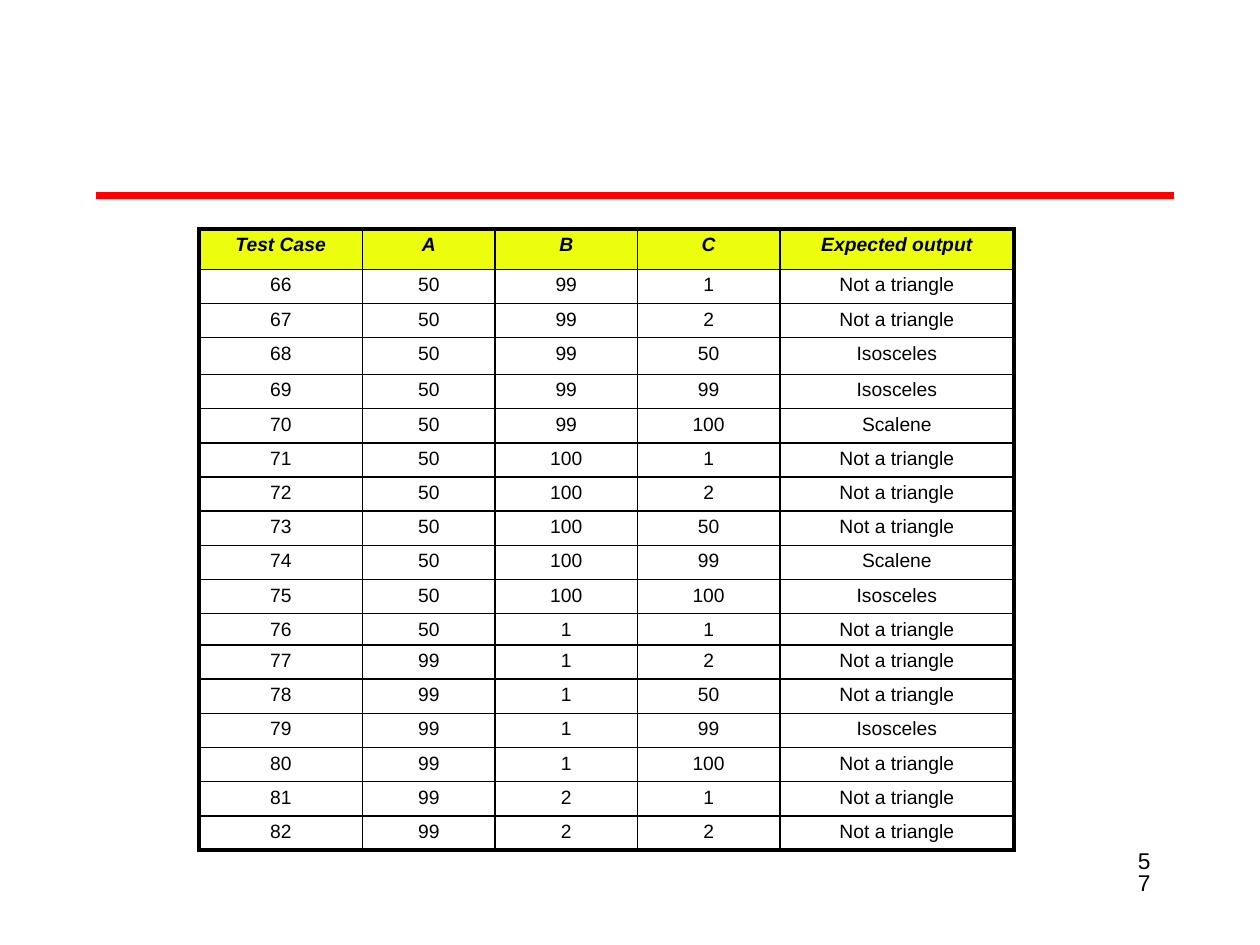
import pptx
import pptx.dml.color
import pptx.enum.shapes
import pptx.enum.text
import pptx.oxml.ns
import pptx.util
from lxml import etree
from pptx.util import Cm, Pt

COLORS = {"text": "000000", "rule": "FF0000", "header": "ECFD0E", "border": "000000"}
HEADINGS = ["Test Case", "A", "B", "C", "Expected output"]
FIRST_TEST_CASE = 66
TRIANGLES = [
    (50, 99, 1, "Not a triangle"),
    (50, 99, 2, "Not a triangle"),
    (50, 99, 50, "Isosceles"),
    (50, 99, 99, "Isosceles"),
    (50, 99, 100, "Scalene"),
    (50, 100, 1, "Not a triangle"),
    (50, 100, 2, "Not a triangle"),
    (50, 100, 50, "Not a triangle"),
    (50, 100, 99, "Scalene"),
    (50, 100, 100, "Isosceles"),
    (50, 1, 1, "Not a triangle"),
    (99, 1, 2, "Not a triangle"),
    (99, 1, 50, "Not a triangle"),
    (99, 1, 99, "Isosceles"),
    (99, 1, 100, "Not a triangle"),
    (99, 2, 1, "Not a triangle"),
    (99, 2, 2, "Not a triangle"),
]
COLUMN_WIDTHS = [3.3, 2.67, 2.87, 2.87, 4.72]
ROW_HEIGHT = 0.69
SPECIAL_ROW_HEIGHTS = {0: 0.81, 3: 0.74, 11: 0.63}
THIN, THICK = 1, 2.25
NO_MARGINS = {"margin_left": 0, "margin_top": 0, "margin_right": 0, "margin_bottom": 0}


def set_attributes(target, values):
    for name, value in values.items():
        setattr(target, name, value)


def rgb(name):
    return pptx.dml.color.RGBColor.from_string(COLORS[name])


class SlideBuilder:
    font_name = "Arial"

    def __init__(self, presentation):
        self.slide = presentation.slides.add_slide(presentation.slide_layouts[6])

    def fill_text(self, text_frame, text, font, paragraph_format):
        paragraph = text_frame.paragraphs[0]
        set_attributes(paragraph, paragraph_format)
        run = paragraph.add_run()
        run.text = text
        set_attributes(run.font, {"name": self.font_name, **font})
        run.font.color.rgb = rgb("text")

    def text(self, left, top, width, height, text, size, line_spacing):
        shape = self.slide.shapes.add_textbox(Cm(left), Cm(top), Cm(width), Cm(height))
        set_attributes(shape.text_frame, {"word_wrap": True, **NO_MARGINS})
        self.fill_text(shape.text_frame, text, {"size": Pt(size)},
                       {"line_spacing": Pt(line_spacing)})

    def line(self, start_x, start_y, end_x, end_y, color, width):
        connector = self.slide.shapes.add_connector(
            pptx.enum.shapes.MSO_CONNECTOR.STRAIGHT,
            Cm(start_x), Cm(start_y), Cm(end_x), Cm(end_y))
        connector.line.color.rgb = rgb(color)
        connector.line.width = Pt(width)
        etree.SubElement(connector._element.spPr, pptx.oxml.ns.qn("a:effectLst"))

    def border(self, cell, side, width):
        qn = pptx.oxml.ns.qn
        line = etree.SubElement(cell._tc.get_or_add_tcPr(), qn(f"a:ln{side}"),
                                w=str(Pt(width)))
        fill = etree.SubElement(line, qn("a:solidFill"))
        etree.SubElement(fill, qn("a:srgbClr"), val=COLORS["border"])

    def table(self, left, top, rows, widths, heights):
        shape = self.slide.shapes.add_table(
            len(rows), len(widths), Cm(left), Cm(top), Cm(sum(widths)), Cm(sum(heights)))
        table = shape.table
        set_attributes(table, {"first_row": False, "horz_banding": False})
        for column, width in zip(table.columns, widths):
            column.width = Cm(width)
        for row, height in zip(table.rows, heights):
            row.height = Cm(height)

        last_row, last_column = len(rows) - 1, len(widths) - 1
        for row_index, values in enumerate(rows):
            is_header = row_index == 0
            for column_index, value in enumerate(values):
                cell = table.cell(row_index, column_index)
                set_attributes(cell, NO_MARGINS)
                self.fill_text(cell.text_frame, str(value),
                               {"size": Pt(11), "bold": is_header, "italic": is_header},
                               {"alignment": pptx.enum.text.PP_ALIGN.CENTER,
                                "line_spacing": Pt(15.2)})
                # Thick lines only on the outer edge
                outer_sides = {"L": column_index == 0, "R": column_index == last_column,
                               "T": is_header, "B": row_index == last_row}
                for side, is_outer in outer_sides.items():
                    self.border(cell, side, THICK if is_outer else THIN)
                if is_header:
                    cell.fill.solid()
                    cell.fill.fore_color.rgb = rgb("header")
                else:
                    cell.fill.background()


def main():
    presentation = pptx.Presentation()
    set_attributes(presentation, {"slide_width": Cm(25.4), "slide_height": Cm(19.05)})
    builder = SlideBuilder(presentation)

    # Page number, narrow enough to break after each digit
    builder.text(22.94, 17.2, 0.5, 0.86, "57", size=13, line_spacing=12.2)

    # Rule below the title area
    builder.line(1.93, 3.94, 23.67, 3.94, "rule", 4.5)

    # Test cases
    rows = [HEADINGS] + [(number, *triangle) for number, triangle
                         in enumerate(TRIANGLES, FIRST_TEST_CASE)]
    heights = [SPECIAL_ROW_HEIGHTS.get(index, ROW_HEIGHT) for index in range(len(rows))]
    builder.table(4.01, 4.62, rows, COLUMN_WIDTHS, heights)

    presentation.save("out.pptx")


if __name__ == "__main__":
    main()
